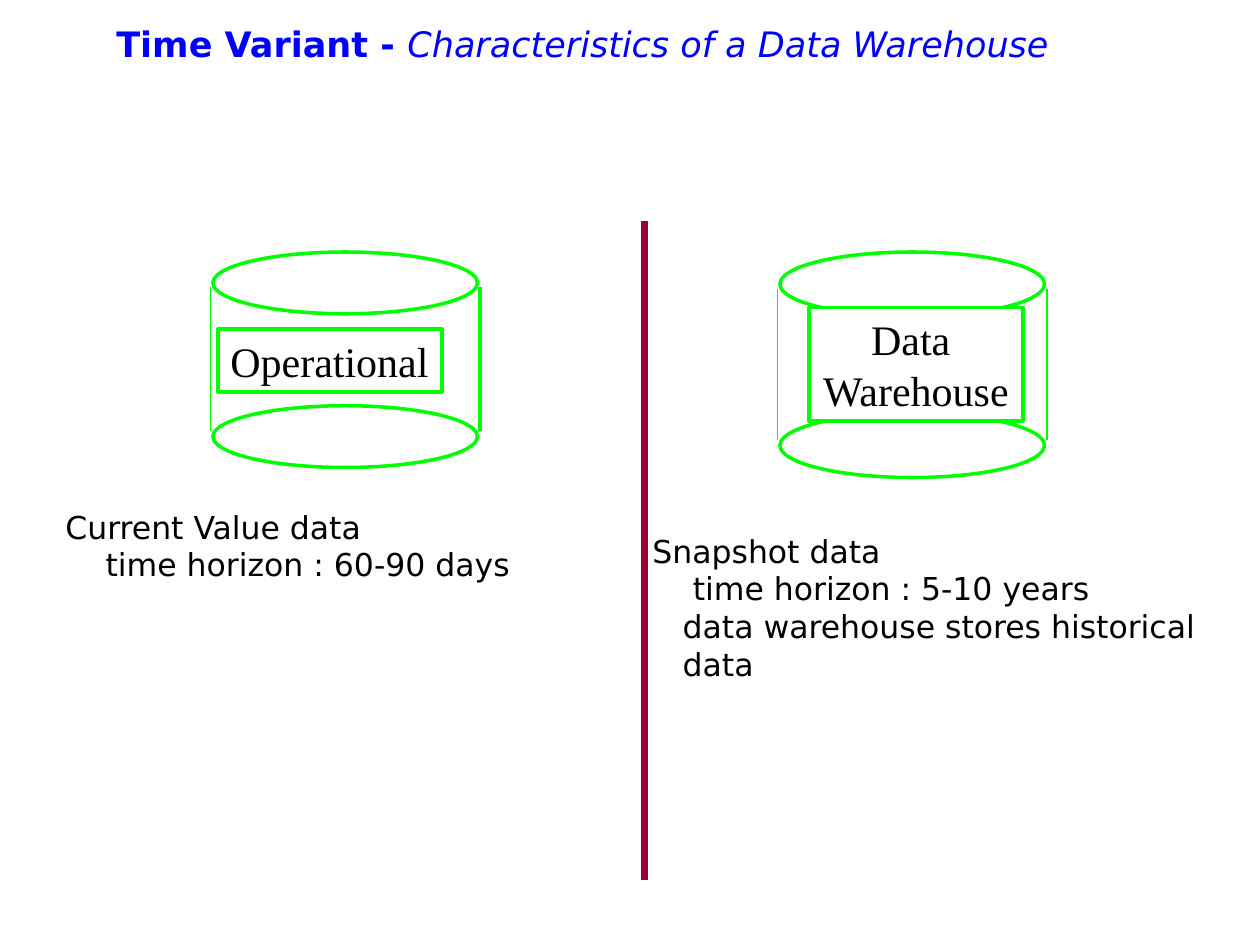
from lxml import etree
from pptx import Presentation
from pptx.dml.color import RGBColor
from pptx.enum.shapes import MSO_CONNECTOR, MSO_SHAPE
from pptx.enum.text import MSO_ANCHOR, PP_ALIGN
from pptx.oxml.ns import qn
from pptx.util import Inches, Pt

BLUE = RGBColor(0x00, 0x00, 0xFF)
GREEN = RGBColor(0x00, 0xFF, 0x00)
MAROON = RGBColor(0x99, 0x00, 0x33)
BLACK = RGBColor(0x00, 0x00, 0x00)
WHITE = RGBColor(0xFF, 0xFF, 0xFF)

OVAL, RECTANGLE = MSO_SHAPE.OVAL, MSO_SHAPE.RECTANGLE
STRAIGHT = MSO_CONNECTOR.STRAIGHT
LEFT, CENTER = PP_ALIGN.LEFT, PP_ALIGN.CENTER
TOP, MIDDLE = MSO_ANCHOR.TOP, MSO_ANCHOR.MIDDLE

SANS, SERIF = "DejaVu Sans", "Times New Roman"
COLUMNS, ROWS = 100, 75
TITLE_ONLY = 5


class WarehouseSlide:
    """Holds the slide and draws on a grid of 100 columns by 75 rows."""

    def __init__(self, presentation):
        self.column = presentation.slide_width / COLUMNS
        self.row = presentation.slide_height / ROWS
        self.slide = presentation.slides.add_slide(presentation.slide_layouts[TITLE_ONLY])
        self.shapes = self.slide.shapes

    def place(self, left, top, width, height):
        return (round(left * self.column), round(top * self.row),
                round(width * self.column), round(height * self.row))

    def add_run(self, paragraph, text, size, font, color, bold=False, italic=False):
        run = paragraph.add_run()
        run.text = text
        run.font.size = Pt(size)
        run.font.name = font
        run.font.color.rgb = color
        run.font.bold = bold
        run.font.italic = italic

    def title(self, box, bold_text, italic_text):
        title = self.shapes.title
        title.left, title.top, title.width, title.height = self.place(*box)
        title.text_frame.vertical_anchor = MIDDLE
        paragraph = title.text_frame.paragraphs[0]
        paragraph.alignment = CENTER
        paragraph.line_spacing = 0.85
        self.add_run(paragraph, bold_text, 20, SANS, BLUE, bold=True)
        self.add_run(paragraph, italic_text, 20, SANS, BLUE, italic=True)

    def shape(self, kind, box, fill=WHITE, line=GREEN, weight=2, parent=None):
        shape = (parent or self.slide).shapes.add_shape(kind, *self.place(*box))
        shape.shadow.inherit = False
        shape.fill.solid()
        shape.fill.fore_color.rgb = fill
        shape.line.color.rgb = line
        shape.line.width = Pt(weight)
        return shape

    def side(self, group, x, top, bottom, weight):
        left, start, _, end = self.place(x, top, 0, bottom)
        connector = group.shapes.add_connector(STRAIGHT, left, start, left, end)
        connector.line.color.rgb = GREEN
        connector.line.width = Pt(weight)
        etree.SubElement(connector._element.spPr, qn("a:effectLst"))

    def drum(self, left, lid_height, base_top, side_top, side_bottom, weights):
        """Draw an open cylinder: two ellipses and two sides just outside them."""
        width, gap = 21, 0.2
        group = self.shapes.add_group_shape()
        for top in (20, base_top):
            self.shape(OVAL, (left, top, width, lid_height), parent=group)
        for x, weight in zip((left - gap, left + width + gap), weights):
            self.side(group, x, side_top, side_bottom, weight)

    def label(self, box, lines, alignment):
        frame = self.shape(RECTANGLE, box).text_frame
        frame.word_wrap = False
        frame.vertical_anchor = TOP
        for index, text in enumerate(lines):
            paragraph = frame.add_paragraph() if index else frame.paragraphs[0]
            paragraph.alignment = alignment
            self.add_run(paragraph, text, 24, SERIF, BLACK)

    def note(self, box, lines):
        """Write (indent in inches, text) lines."""
        frame = self.shapes.add_textbox(*self.place(*box)).text_frame
        frame.word_wrap = True
        for index, (indent, text) in enumerate(lines):
            paragraph = frame.add_paragraph() if index else frame.paragraphs[0]
            properties = paragraph._p.get_or_add_pPr()
            properties.set("marL", str(Inches(indent)))
            properties.set("indent", "0")
            self.add_run(paragraph, text, 18, SANS, BLACK)


def main():
    presentation = Presentation()
    presentation.slide_width = Inches(10)
    presentation.slide_height = Inches(7.5)

    slide = WarehouseSlide(presentation)
    slide.title((0, 0, 92.5, 7.5), "Time Variant - ", "Characteristics of a Data Warehouse")

    slide.drum(16.9, 4.9, 32.2, 22.8, 34.2, weights=(0.75, 2))
    slide.label((17.3, 26.1, 17.8, 5), ["Operational"], LEFT)
    slide.drum(61.9, 5.1, 32.8, 22.9, 34.9, weights=(0.75, 0.75))
    slide.label((64.2, 24.4, 17, 9), ["Data ", "Warehouse"], CENTER)

    slide.note((4.2, 39.8, 49.2, 7), [
        (0, "Current Value data"),
        (0.32, "time horizon : 60-90 days"),
    ])
    slide.note((50.8, 41.7, 50.8, 10), [
        (0, "Snapshot data"),
        (0.32, "time horizon : 5-10 years"),
        (0.24, "data warehouse stores historical data"),
    ])
    slide.shape(RECTANGLE, (50.8, 17.5, 0.7, 52.4), fill=MAROON, line=WHITE, weight=1)

    presentation.save("out.pptx")


if __name__ == "__main__":
    main()
